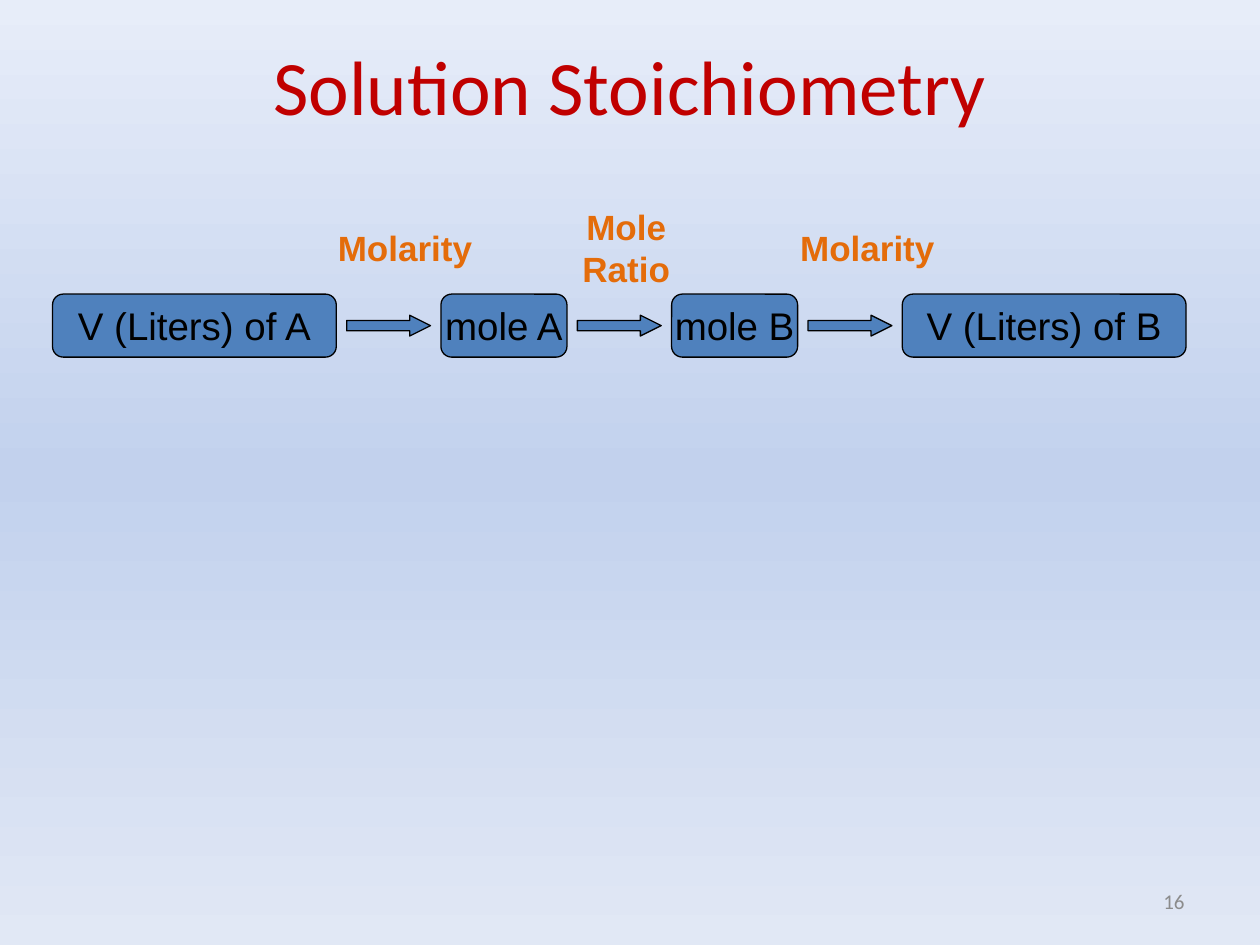
import copy
import pptx
import pptx.util
from pptx.dml.color import RGBColor
from pptx.enum.shapes import MSO_SHAPE
from pptx.enum.text import MSO_ANCHOR, PP_ALIGN
from pptx.oxml.ns import qn
from pptx.util import Cm, Pt

RED = RGBColor(0xC0, 0x00, 0x00)
BLUE = RGBColor(0x4F, 0x81, 0xBD)
BLACK = RGBColor(0x00, 0x00, 0x00)
ORANGE = RGBColor(0xE4, 0x6C, 0x0A)
GRAY = RGBColor(0x8C, 0x8C, 0x8C)
SKY = [
    (0, RGBColor(0xE7, 0xED, 0xF9)),
    (0.5, RGBColor(0xC2, 0xD1, 0xED)),
    (1, RGBColor(0xE1, 0xE8, 0xF5)),
]

TITLE = "Solution Stoichiometry"
NUMBER = "16"
STEPS = [
    ("V (Liters) of A", 5.72),
    ("mole A", 2.54),
    ("mole B", 2.54),
    ("V (Liters) of B", 5.72),
]
LABELS = [
    ("Molarity", 6.56, 4.45, 3.23, 1.11, False),
    ("Mole Ratio", 11.43, 4.02, 2.39, 1.96, True),
    ("Molarity", 15.88, 4.45, 3.23, 1.11, False),
]
LEFT, TOP, HIGH = 1.06, 5.93, 1.27
GAP, LONG, THIN = 0.21, 1.69, 0.42


def write(shape, text, size, color, font="Arial", bold=False,
          align=PP_ALIGN.CENTER, anchor=MSO_ANCHOR.MIDDLE, wrap=True):
    frame = shape.text_frame
    frame.word_wrap = wrap
    frame.vertical_anchor = anchor
    para = frame.paragraphs[0]
    para.alignment = align
    run = para.add_run()
    run.text = text
    run.font.name = font
    run.font.size = Pt(size)
    run.font.bold = bold
    run.font.color.rgb = color


def add_box(slide, x, y, w, h):
    return slide.shapes.add_textbox(Cm(x), Cm(y), Cm(w), Cm(h))


def add_form(slide, kind, x, y, w, h, *adjust):
    shape = slide.shapes.add_shape(kind, Cm(x), Cm(y), Cm(w), Cm(h))
    shape.shadow.inherit = False
    shape.fill.solid()
    shape.fill.fore_color.rgb = BLUE
    shape.line.color.rgb = BLACK
    shape.line.width = Pt(0.75)
    for i, value in enumerate(adjust):
        shape.adjustments[i] = value
    return shape


def paint(slide):
    fill = slide.background.fill
    fill.gradient()
    fill.gradient_angle = 270
    stops = slide.element.find(".//" + qn("a:gsLst"))
    stops.append(copy.deepcopy(stops[-1]))
    for stop, (place, color) in zip(fill.gradient_stops, SKY):
        stop.position = place
        stop.color.rgb = color


def main():
    deck = pptx.Presentation()
    deck.slide_width, deck.slide_height = Cm(25.4), Cm(19.05)
    slide = deck.slides.add_slide(deck.slide_layouts[6])
    paint(slide)

    write(add_box(slide, 18.2, 17.66, 5.93, 1.01), NUMBER, 12, GRAY,
          font="Calibri", align=PP_ALIGN.RIGHT)
    write(add_box(slide, 1.9, 0.64, 21.6, 2.12), TITLE, 44, RED,
          font="Calibri")

    x = LEFT
    for i, (text, width) in enumerate(STEPS):
        if i:
            add_form(slide, MSO_SHAPE.RIGHT_ARROW, x + GAP,
                     TOP + (HIGH - THIN) / 2, LONG, THIN, 0.5, 1)
            x += LONG + 2 * GAP
        step = add_form(slide, MSO_SHAPE.ROUNDED_RECTANGLE, x, TOP,
                        width, HIGH, 0.17)
        write(step, text, 22, BLACK, wrap=False)
        x += width

    for text, x, y, w, h, wrap in LABELS:
        write(add_box(slide, x, y, w, h), text, 20, ORANGE, bold=True,
              anchor=MSO_ANCHOR.TOP, wrap=wrap,
              align=PP_ALIGN.CENTER if wrap else PP_ALIGN.LEFT)

    deck.save("out.pptx")


if __name__ == "__main__":
    main()
